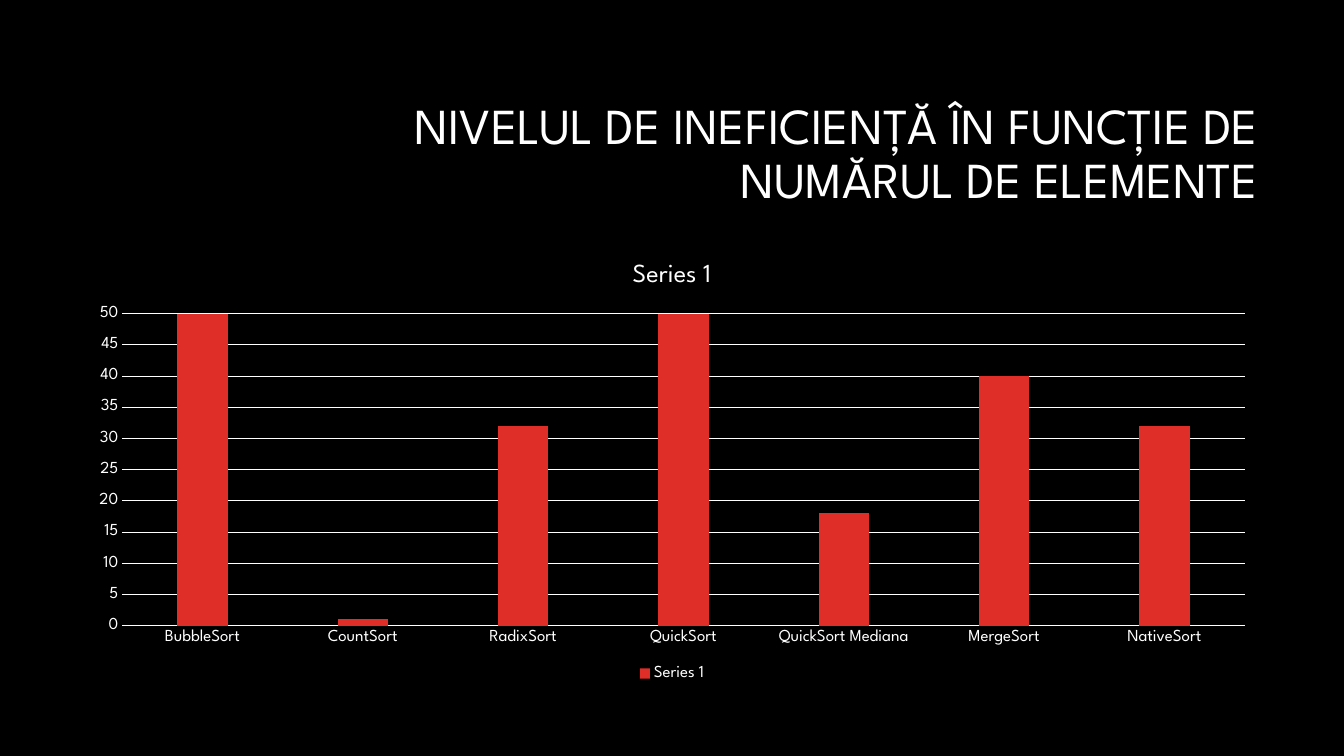
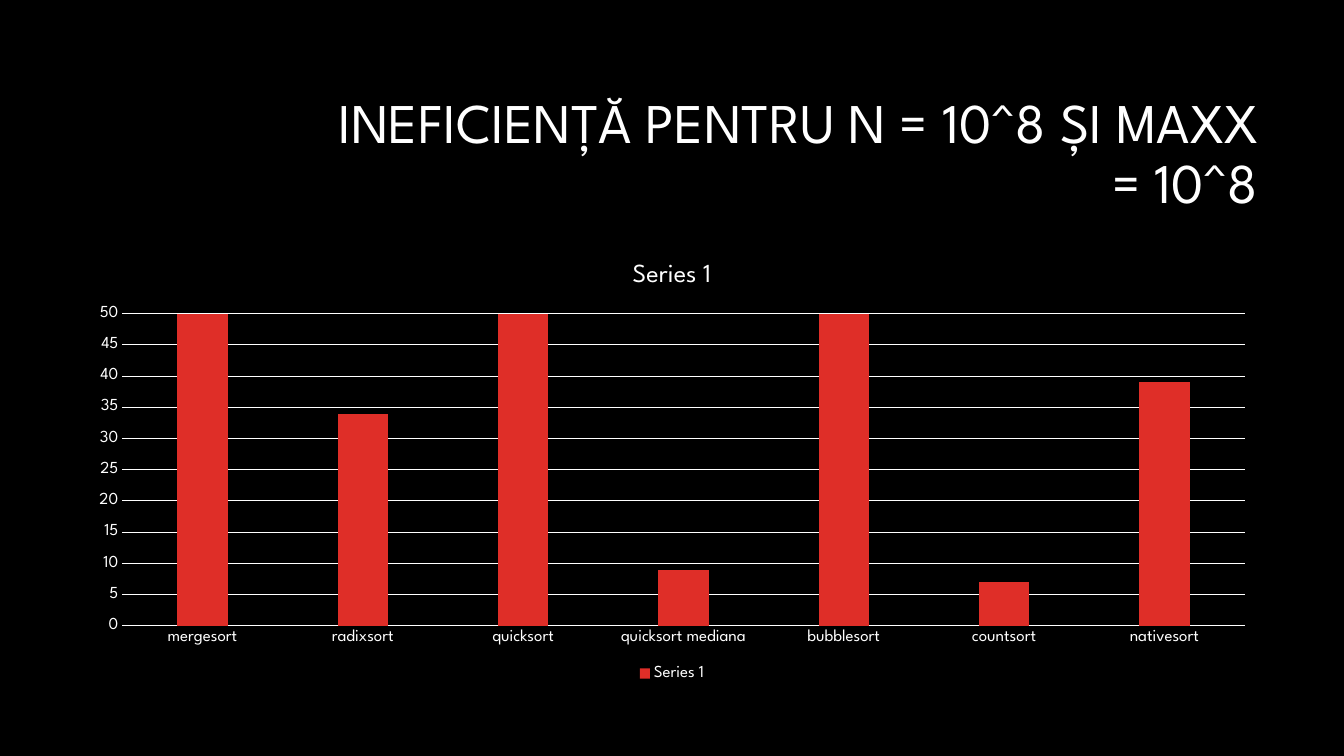
from dataclasses import dataclass

import pptx
import pptx.chart.data
import pptx.dml.color
import pptx.enum.chart
import pptx.enum.text
import pptx.util

FONT = "League Spartan"
COLORS = {"background": "000000", "text": "FFFFFF", "bar": "DF2E28"}
COLUMNS, ROWS = 160, 90
SERIES_NAME = "Series 1"


@dataclass(frozen=True)
class Box:
    col: float
    row: float
    cols: float
    rows: float


@dataclass(frozen=True)
class ChartSlide:
    title: str
    title_size: int
    values: dict[str, int]


TITLE_BOX = Box(38, 10, 113, 17)
CHART_BOX = Box(9, 28.8, 142, 52.8)

SLIDES = [
    ChartSlide(
        "NIVELUL DE INEFICIENȚĂ ÎN FUNCȚIE DE NUMĂRUL DE ELEMENTE",
        36,
        {
            "BubbleSort": 50,
            "CountSort": 1,
            "RadixSort": 32,
            "QuickSort": 50,
            "QuickSort Mediana": 18,
            "MergeSort": 40,
            "NativeSort": 32,
        },
    ),
    ChartSlide(
        "INEFICIENȚĂ PENTRU N = 10^8 ȘI MAXX = 10^8",
        40,
        {
            "mergesort": 50,
            "radixsort": 34,
            "quicksort": 50,
            "quicksort mediana": 9,
            "bubblesort": 50,
            "countsort": 7,
            "nativesort": 39,
        },
    ),
]


def rgb(name: str) -> pptx.dml.color.RGBColor:
    return pptx.dml.color.RGBColor.from_string(COLORS[name])


def set_attrs(target, values: dict) -> None:
    for name, value in values.items():
        setattr(target, name, value)


def set_font(font, size: float) -> None:
    set_attrs(font, {"name": FONT, "size": pptx.util.Pt(size), "bold": False})
    font.color.rgb = rgb("text")


def set_line(line) -> None:
    line.color.rgb = rgb("text")
    line.width = pptx.util.Pt(0.75)


def place(prs, box: Box) -> tuple[int, int, int, int]:
    col, row = prs.slide_width / COLUMNS, prs.slide_height / ROWS
    return (
        round(box.col * col),
        round(box.row * row),
        round(box.cols * col),
        round(box.rows * row),
    )


def add_title(prs, s, text: str, size: int) -> None:
    tf = s.shapes.add_textbox(*place(prs, TITLE_BOX)).text_frame
    set_attrs(
        tf,
        {
            "word_wrap": True,
            "auto_size": pptx.enum.text.MSO_AUTO_SIZE.NONE,
            "vertical_anchor": pptx.enum.text.MSO_ANCHOR.MIDDLE,
        },
    )
    p = tf.paragraphs[0]
    set_attrs(p, {"alignment": pptx.enum.text.PP_ALIGN.RIGHT, "line_spacing": 0.9})
    r = p.add_run()
    r.text = text
    set_font(r.font, size)


def style_axes(chart) -> None:
    for axis in (chart.category_axis, chart.value_axis):
        set_attrs(
            axis,
            {
                "major_tick_mark": pptx.enum.chart.XL_TICK_MARK.NONE,
                "minor_tick_mark": pptx.enum.chart.XL_TICK_MARK.NONE,
            },
        )
        set_font(axis.tick_labels.font, 12)
    set_line(chart.category_axis.format.line)
    axis = chart.value_axis
    set_attrs(axis, {"minimum_scale": 0, "maximum_scale": 50, "major_unit": 5})
    axis.format.line.fill.background()
    set_line(axis.major_gridlines.format.line)


def add_chart(prs, s, values: dict[str, int]) -> None:
    data = pptx.chart.data.CategoryChartData()
    data.categories = list(values)
    data.add_series(SERIES_NAME, list(values.values()))
    chart = s.shapes.add_chart(
        pptx.enum.chart.XL_CHART_TYPE.COLUMN_CLUSTERED, *place(prs, CHART_BOX), data
    ).chart
    set_font(chart.font, 10)
    chart.has_title = True
    p = chart.chart_title.text_frame.paragraphs[0]
    r = p.add_run()
    r.text = SERIES_NAME
    set_font(r.font, 18.6)
    chart.has_legend = True
    set_attrs(
        chart.legend,
        {
            "position": pptx.enum.chart.XL_LEGEND_POSITION.BOTTOM,
            "include_in_layout": False,
        },
    )
    set_font(chart.legend.font, 12)
    plot = chart.plots[0]
    set_attrs(plot, {"gap_width": 219, "overlap": -27, "vary_by_categories": False})
    fill = plot.series[0].format.fill
    fill.solid()
    fill.fore_color.rgb = rgb("bar")
    style_axes(chart)


def add_slide(prs, content: ChartSlide) -> None:
    s = prs.slides.add_slide(prs.slide_layouts[6])
    add_title(prs, s, content.title, content.title_size)
    add_chart(prs, s, content.values)


def main() -> None:
    prs = pptx.Presentation()
    set_attrs(
        prs,
        {
            "slide_width": pptx.util.Inches(13.33),
            "slide_height": pptx.util.Inches(7.5),
        },
    )
    fill = prs.slide_master.background.fill
    fill.solid()
    fill.fore_color.rgb = rgb("background")
    for content in SLIDES:
        add_slide(prs, content)
    prs.save("out.pptx")


if __name__ == "__main__":
    main()
